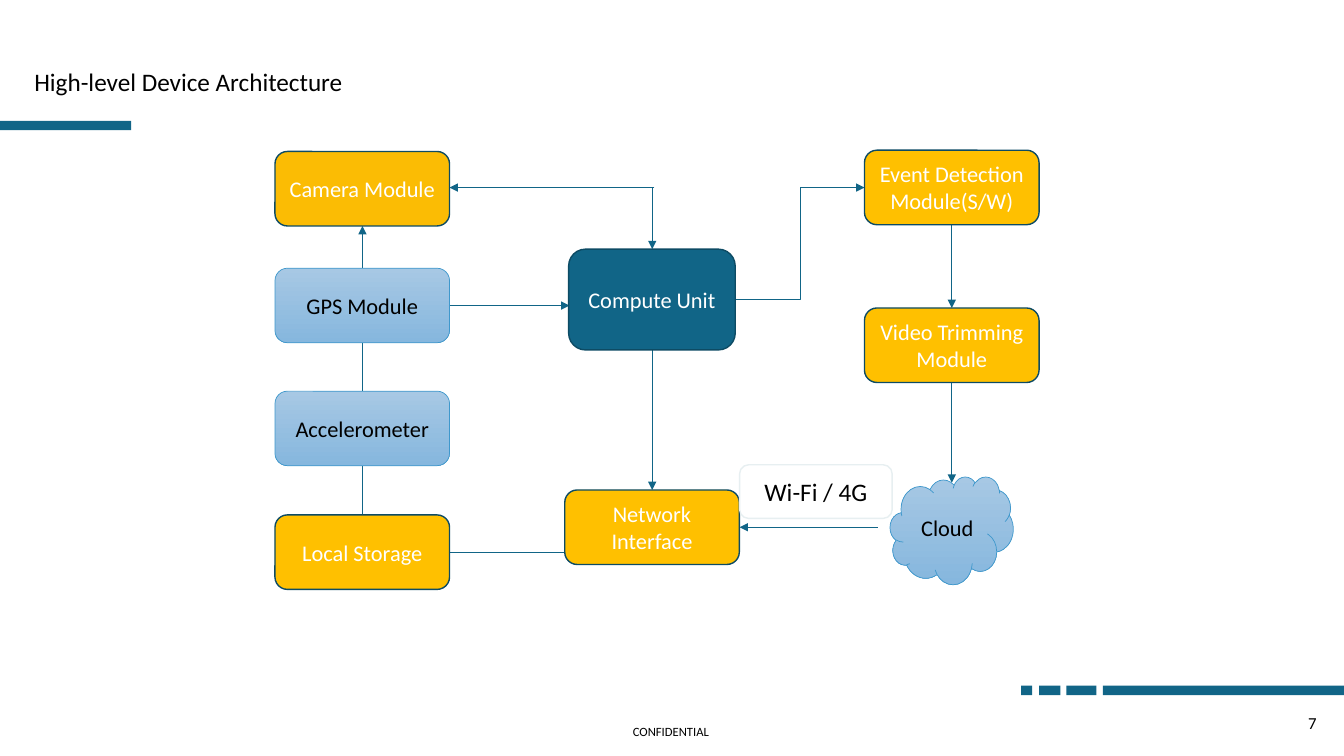
from typing import NamedTuple, Optional

from lxml import etree
from pptx import Presentation
from pptx.dml.color import RGBColor
from pptx.enum.shapes import MSO_CONNECTOR, MSO_SHAPE
from pptx.enum.text import MSO_ANCHOR, MSO_AUTO_SIZE, PP_ALIGN
from pptx.oxml.ns import qn
from pptx.slide import Slide
from pptx.text.text import TextFrame
from pptx.util import Pt

ROUND, CLOUD, RECT = MSO_SHAPE.ROUNDED_RECTANGLE, MSO_SHAPE.CLOUD, MSO_SHAPE.RECTANGLE
LINE, ELBOW = MSO_CONNECTOR.STRAIGHT, MSO_CONNECTOR.ELBOW
LEFT, CENTER, RIGHT = PP_ALIGN.LEFT, PP_ALIGN.CENTER, PP_ALIGN.RIGHT
MIDDLE, TOP = MSO_ANCHOR.MIDDLE, MSO_ANCHOR.TOP
GROW = MSO_AUTO_SIZE.SHAPE_TO_FIT_TEXT

TEAL = RGBColor(0x11, 0x65, 0x87)
NAVY = RGBColor(0x0D, 0x4B, 0x64)
GOLD = RGBColor(0xFF, 0xC0, 0x00)
AMBER = RGBColor(0xFB, 0xBC, 0x04)
SKY = RGBColor(0xA7, 0xC8, 0xE4)
BLUE = RGBColor(0x86, 0xB7, 0xDE)
EDGE = RGBColor(0x3F, 0x98, 0xCC)
PALE = RGBColor(0xE7, 0xEF, 0xF1)
WHITE = RGBColor(0xFF, 0xFF, 0xFF)
BLACK = RGBColor(0x00, 0x00, 0x00)

FONT = "Calibri"
WIDE, HIGH = 124.7, 53.2  # size of a module box


class Style(NamedTuple):
    fill: RGBColor
    edge: RGBColor
    ink: RGBColor
    weight: float = 1
    fade: Optional[RGBColor] = None


class Node(NamedTuple):
    text: str
    left: float
    top: float
    style: Style
    width: float = WIDE
    height: float = HIGH
    size: float = 16
    kind: MSO_SHAPE = ROUND


class Link(NamedTuple):
    x1: float
    y1: float
    x2: float
    y2: float
    arrow: bool = True
    kind: MSO_CONNECTOR = LINE


class Label(NamedTuple):
    text: str
    left: float
    top: float
    width: float
    height: float
    size: float
    align: PP_ALIGN
    anchor: MSO_ANCHOR
    wrap: bool = True
    tight: bool = True


YELLOW = Style(GOLD, NAVY, WHITE)
CAMERA = Style(AMBER, NAVY, WHITE)
CORE = Style(TEAL, NAVY, WHITE)
SENSOR = Style(SKY, EDGE, BLACK, 0.5, BLUE)
PLAIN = Style(WHITE, PALE, BLACK)

# Columns: sensors, core and event modules
COL1, COL2, COL3 = 196.4, 403.4, 617.5
MID1, MID2, MID3 = 258.9, 465.9, 679.9

NODES = [
    Node("Compute Unit", 406.2, 178, CORE, 119, 72),
    Node("Camera Module", COL1, 108.2, CAMERA),
    Node("GPS Module", COL1, 191.6, SENSOR),
    Node("Accelerometer", COL1, 279.4, SENSOR),
    Node("Local Storage", COL1, 367.8, YELLOW),
    Node("Network Interface", COL2, 350, YELLOW),
    Node("Event Detection Module(S/W)", COL3, 107.3, YELLOW),
    Node("Video Trimming Module", COL3, 220, YELLOW),
    Node("Cloud", 635.8, 340.5, SENSOR, 88, 77, 16, CLOUD),
    Node("Wi-Fi / 4G", 528.3, 332, PLAIN, 109, 38.3, 18),
]

LINKS = [
    Link(MID2, 134, MID2, 178),
    Link(467.5, 134, 321.1, 134),
    Link(321.1, 218.3, 406.8, 218.3),
    Link(MID1, 244.8, MID1, 279.4, False),
    Link(MID1, 332.6, MID1, 367.8, False),
    Link(MID1, 191.6, MID1, 161.4),
    Link(321.1, 394.5, COL2, 394.5, False),
    Link(MID2, 250, MID2, 350),
    Link(525.4, 213.8, COL3, 134, True, ELBOW),
    Link(MID3, 160.5, MID3, 220),
    Link(MID3, 273.2, MID3, 344.8),
    Link(627, 376.6, 528.3, 376.6),
]

LABELS = [
    Label("High-level Device Architecture", 24.5, 49.7, 764.6, 19.4, 18, LEFT, MIDDLE),
    Label("CONFIDENTIAL", 450.4, 518.2, 57.6, 10, 9, CENTER, TOP, False),
    Label("7", 905.8, 501.8, 41.8, 28.8, 12, RIGHT, MIDDLE, True, False),
]

DASHES = [(787.7, 960), (761.8, 783.2), (742.3, 757.4), (729.4, 737.3)]


def write(frame: TextFrame, text: str, size: float, ink: RGBColor, align: PP_ALIGN) -> None:
    frame.text = text
    para = frame.paragraphs[0]
    para.alignment = align
    font = para.runs[0].font
    font.name, font.size, font.color.rgb = FONT, Pt(size), ink


def draw_node(slide: Slide, node: Node) -> None:
    style = node.style
    shape = slide.shapes.add_shape(
        node.kind, Pt(node.left), Pt(node.top), Pt(node.width), Pt(node.height))
    shape.shadow.inherit = False
    if style.fade is None:
        shape.fill.solid()
        shape.fill.fore_color.rgb = style.fill
    else:
        shape.fill.gradient()
        shape.fill.gradient_angle = 270
        for stop, color in zip(shape.fill.gradient_stops, (style.fill, style.fade)):
            stop.color.rgb = color
    shape.line.color.rgb = style.edge
    shape.line.width = Pt(style.weight)
    frame = shape.text_frame
    frame.word_wrap = True
    frame.vertical_anchor = MIDDLE
    write(frame, node.text, node.size, style.ink, CENTER)


def draw_link(slide: Slide, link: Link) -> None:
    wire = slide.shapes.add_connector(
        link.kind, Pt(link.x1), Pt(link.y1), Pt(link.x2), Pt(link.y2))
    wire.line.color.rgb = TEAL
    wire.line.width = Pt(0.5)
    props = wire.element.spPr
    if link.arrow:
        etree.SubElement(props.find(qn("a:ln")), qn("a:tailEnd"), type="triangle")
    etree.SubElement(props, qn("a:effectLst"))


def draw_label(slide: Slide, label: Label) -> None:
    box = slide.shapes.add_textbox(
        Pt(label.left), Pt(label.top), Pt(label.width), Pt(label.height))
    frame = box.text_frame
    frame.word_wrap = label.wrap
    frame.vertical_anchor = label.anchor
    write(frame, label.text, label.size, BLACK, label.align)
    if label.tight:
        frame.margin_left = frame.margin_right = Pt(0)
        frame.margin_top = frame.margin_bottom = Pt(0)
        frame.auto_size = GROW
        frame.paragraphs[0].line_spacing = 0.9


def draw_bars(slide: Slide) -> None:
    bar = slide.shapes.add_shape(RECT, Pt(0), Pt(86.4), Pt(93.7), Pt(6.7))
    top, base = Pt(489.8), Pt(496.5)
    first = DASHES[0][0]
    path = slide.shapes.build_freeform(Pt(first), top, scale=1.0)
    for left, right in DASHES:
        if left != first:
            path.move_to(Pt(left), top)
        path.add_line_segments(
            [(Pt(right), top), (Pt(right), base), (Pt(left), base)], close=True)
    for shape in (bar, path.convert_to_shape()):
        shape.shadow.inherit = False
        shape.fill.solid()
        shape.fill.fore_color.rgb = TEAL
        shape.line.fill.background()


def main() -> None:
    deck = Presentation()
    deck.slide_width, deck.slide_height = Pt(960), Pt(540)
    slide = deck.slides.add_slide(deck.slide_layouts[6])
    # Frame of the slide
    draw_bars(slide)
    for label in LABELS:
        draw_label(slide, label)
    # Device diagram
    for link in LINKS:
        draw_link(slide, link)
    for node in NODES:
        draw_node(slide, node)
    deck.save("out.pptx")


if __name__ == "__main__":
    main()
